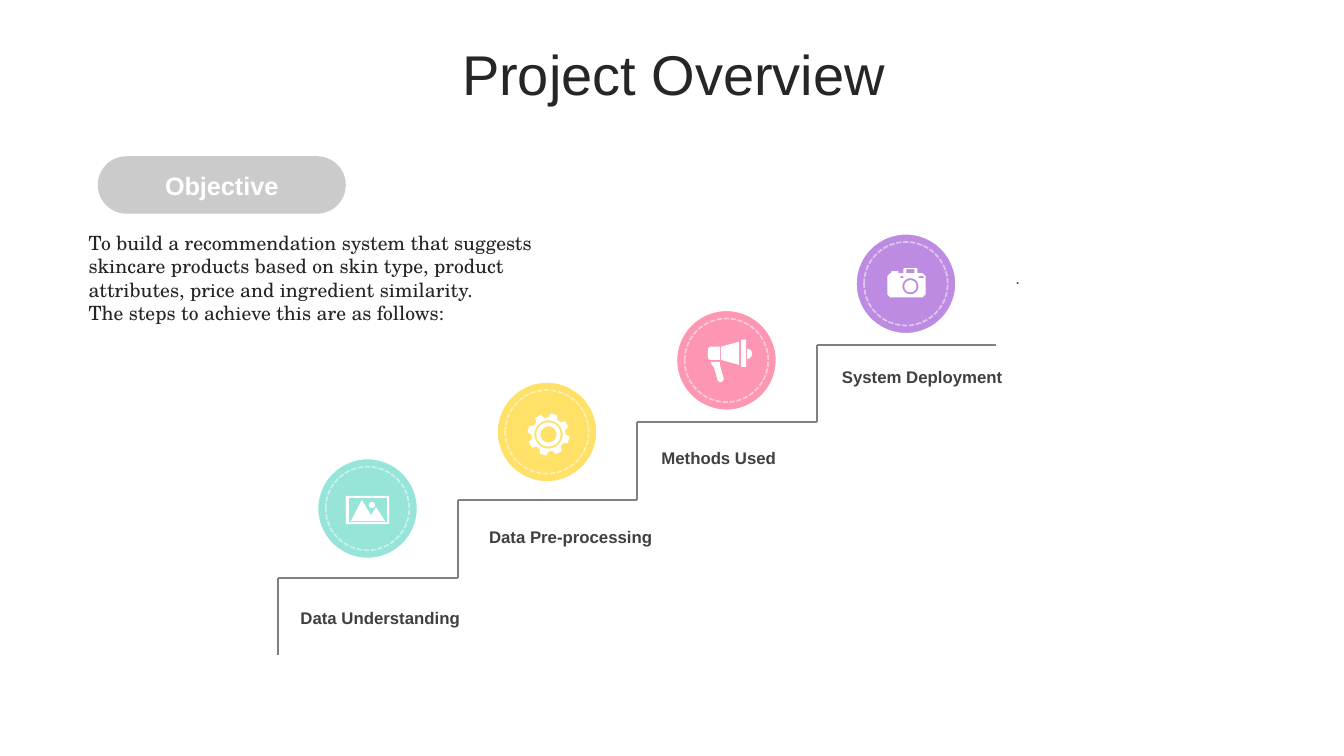
from dataclasses import dataclass
from math import cos, radians, sin

from lxml.etree import SubElement
from pptx import Presentation
from pptx.dml.color import RGBColor
from pptx.enum.dml import MSO_LINE
from pptx.enum.shapes import MSO_CONNECTOR, MSO_SHAPE
from pptx.enum.text import MSO_ANCHOR, MSO_AUTO_SIZE, PP_ALIGN
from pptx.oxml.ns import qn
from pptx.slide import Slide
from pptx.text.text import TextFrame
from pptx.util import Pt

PX = 9144
WHITE = RGBColor(0xFF, 0xFF, 0xFF)
INK = RGBColor(0x26, 0x26, 0x26)
PROSE = RGBColor(0x24, 0x24, 0x24)
DARK = RGBColor(0x40, 0x40, 0x40)
GREY = RGBColor(0x80, 0x80, 0x80)
SILVER = RGBColor(0xCB, 0xCB, 0xCB)
MINT = RGBColor(0x96, 0xE5, 0xD8)
YELLOW = RGBColor(0xFE, 0xE1, 0x66)
PINK = RGBColor(0xFC, 0x96, 0xB2)
PURPLE = RGBColor(0xBE, 0x8B, 0xE2)

TITLE = {"name": "Arial", "size": Pt(40)}
BADGE = {"name": "Arial", "size": Pt(18), "bold": True}
LABEL = {"name": "Arial", "size": Pt(12), "bold": True}
MARK = {"name": "Arial", "size": Pt(12)}
BODY = {"name": "TeX Gyre Schola", "size": Pt(14)}
CENTRE = {"alignment": PP_ALIGN.CENTER}
HEAD = CENTRE | {"line_spacing": 0.9, "space_before": Pt(10)}
FIT = {"word_wrap": True, "auto_size": MSO_AUTO_SIZE.SHAPE_TO_FIT_TEXT}
MIDDLE = {"vertical_anchor": MSO_ANCHOR.MIDDLE}
TIGHT = {"margin_left": 0, "margin_right": 0}

RUN, RISE = 178, 77
FOOT_X, FOOT_Y = 276, 573
DISC, RING = 99, 83

Path = list[tuple[float, float]]


@dataclass
class Step:
    text: str
    left: int
    top: int
    disc: int
    hue: RGBColor
    icon: list[Path]


def arc(x: int, y: int, r: int, start: int = 0, sweep: int = 360) -> Path:
    turns = [radians(start + sweep * i / 36) for i in range(37)]
    return [(x + r * cos(t), y + r * sin(t)) for t in turns]


def box(x: int, y: int, right: int, base: int) -> Path:
    return [(x, y), (right, y), (right, base), (x, base)]


def cog(x: int, y: int) -> Path:
    tooth = ((-15, 17), (-9, 21), (9, 21), (15, 17))
    return [(x + r * cos(radians(mid + turn)), y + r * sin(radians(mid + turn)))
            for mid in range(15, 375, 45) for turn, r in tooth]


PHOTO = [
    box(343, 492, 386, 520), box(346, 494, 384, 518), arc(369, 501, 3),
    [(359, 496), (368, 511), (373, 503), (382, 517), (348, 517)],
]
GEAR = [cog(544, 431)] + [arc(544, 431, r) for r in (14, 12, 8)]
HORN = [
    [(705, 359), (714, 359), (714, 362), (718, 376), (716, 379),
     (714, 379), (712, 378), (708, 364), (706, 362)],
    arc(741, 351, 5, -90, 180),
    [(704, 344), (714, 344), (714, 357), (704, 357), (702, 355), (702, 346)],
    [(733, 339), (733, 362), (715, 357), (715, 344)],
    box(735, 337, 740, 364),
]
CAMERA = [
    [(880, 274), (883, 271), (884, 271), (884, 269), (891, 269), (891, 271),
     (896, 271), (896, 267), (897, 266), (909, 266), (910, 267), (910, 271),
     (915, 271), (918, 274), (918, 292), (915, 295), (883, 295), (880, 292)],
    arc(903, 284, 8), arc(903, 284, 6), box(893, 274, 896, 276),
    box(911, 274, 916, 276), box(899, 267, 907, 271),
]
STEPS = [
    Step("Data Understanding", 298, 598, 455, MINT, PHOTO),
    Step("Data Pre-processing", 485, 518, 379, YELLOW, GEAR),
    Step("Methods Used", 656, 439, 308, PINK, HORN),
    Step("System Deployment", 835, 359, 232, PURPLE, CAMERA),
]


def style(target: object, values: dict) -> None:
    for key, value in values.items():
        setattr(target, key, value)


def write(frame: TextFrame, lines: list[str], font: dict, hue: RGBColor,
          block: dict, para: dict) -> None:
    style(frame, block)
    for i, line in enumerate(lines):
        item = frame.add_paragraph() if i else frame.paragraphs[0]
        style(item, para)
        run = item.add_run()
        run.text = line
        style(run.font, font)
        run.font.color.rgb = hue


def note(slide: Slide, place: tuple, lines: list[str], font: dict,
         hue: RGBColor, block: dict) -> None:
    area = slide.shapes.add_textbox(*(n * PX for n in place))
    write(area.text_frame, lines, font, hue, block, {})


def rule(slide: Slide, x: int, y: int, right: int, base: int) -> None:
    line = slide.shapes.add_connector(
        MSO_CONNECTOR.STRAIGHT, x * PX, y * PX, right * PX, base * PX)
    line.line.color.rgb = GREY
    line.line.width = Pt(1.5)
    SubElement(line.element.spPr, qn("a:effectLst"))


def disc(slide: Slide, x: int, y: int, hue: RGBColor) -> None:
    gap = (DISC - RING) // 2
    for inset, size, width in ((0, DISC, 1), (gap, RING, 1.25)):
        oval = slide.shapes.add_shape(
            MSO_SHAPE.OVAL, (x + inset) * PX, (y + inset) * PX, size * PX, size * PX)
        oval.shadow.inherit = False
        oval.line.color.rgb = WHITE
        oval.line.width = Pt(width)
        if inset:
            oval.fill.background()
            oval.line.dash_style = MSO_LINE.SQUARE_DOT
            shade = oval.element.spPr.find(".//" + qn("a:srgbClr"))
            SubElement(shade, qn("a:alpha")).set("val", "50000")
        else:
            oval.fill.solid()
            oval.fill.fore_color.rgb = hue


def draw(slide: Slide, paths: list[Path]) -> None:
    scaled = [[(x * PX, y * PX) for x, y in path] for path in paths]
    pen = slide.shapes.build_freeform(*scaled[0][0])
    for i, path in enumerate(scaled):
        if i:
            pen.move_to(*path[0])
        pen.add_line_segments(path[1:], close=True)
    icon = pen.convert_to_shape()
    icon.shadow.inherit = False
    icon.fill.solid()
    icon.fill.fore_color.rgb = WHITE
    icon.line.fill.background()


def main() -> None:
    deck = Presentation()
    deck.slide_width, deck.slide_height = 1333 * PX, 750 * PX
    slide = deck.slides.add_slide(deck.slide_layouts[5])

    title = slide.shapes.title
    style(title, {"left": 35 * PX, "top": 37 * PX, "width": 1266 * PX, "height": 79 * PX})
    write(title.text_frame, ["Project Overview"], TITLE, INK,
          MIDDLE | {"auto_size": MSO_AUTO_SIZE.NONE}, HEAD)

    badge = slide.shapes.add_shape(
        MSO_SHAPE.ROUNDED_RECTANGLE, 97 * PX, 155 * PX, 246 * PX, 57 * PX)
    badge.adjustments[0] = 0.5
    badge.shadow.inherit = False
    badge.fill.solid()
    badge.fill.fore_color.rgb = SILVER
    badge.line.fill.background()
    write(badge.text_frame, ["Objective"], BADGE, WHITE, FIT | MIDDLE, CENTRE)

    note(slide, (78, 224, 490, 104), [
        "To build a recommendation system that suggests skincare products based on "
        "skin type, product attributes, price and ingredient similarity.",
        "The steps to achieve this are as follows:",
    ], BODY, PROSE, FIT)

    for i, step in enumerate(STEPS):
        x, y = FOOT_X + RUN * i, FOOT_Y - RISE * i
        rule(slide, x, y, x + RUN, y)
        rule(slide, x, y, x, y + RISE)
        disc(slide, x + 39, step.disc, step.hue)
        draw(slide, step.icon)
        note(slide, (step.left, step.top, 305, 30), [step.text], LABEL, DARK, FIT | TIGHT)

    note(slide, (1007, 261, 247, 30), ["."], MARK, DARK, FIT | TIGHT)
    deck.save("out.pptx")


if __name__ == "__main__":
    main()
